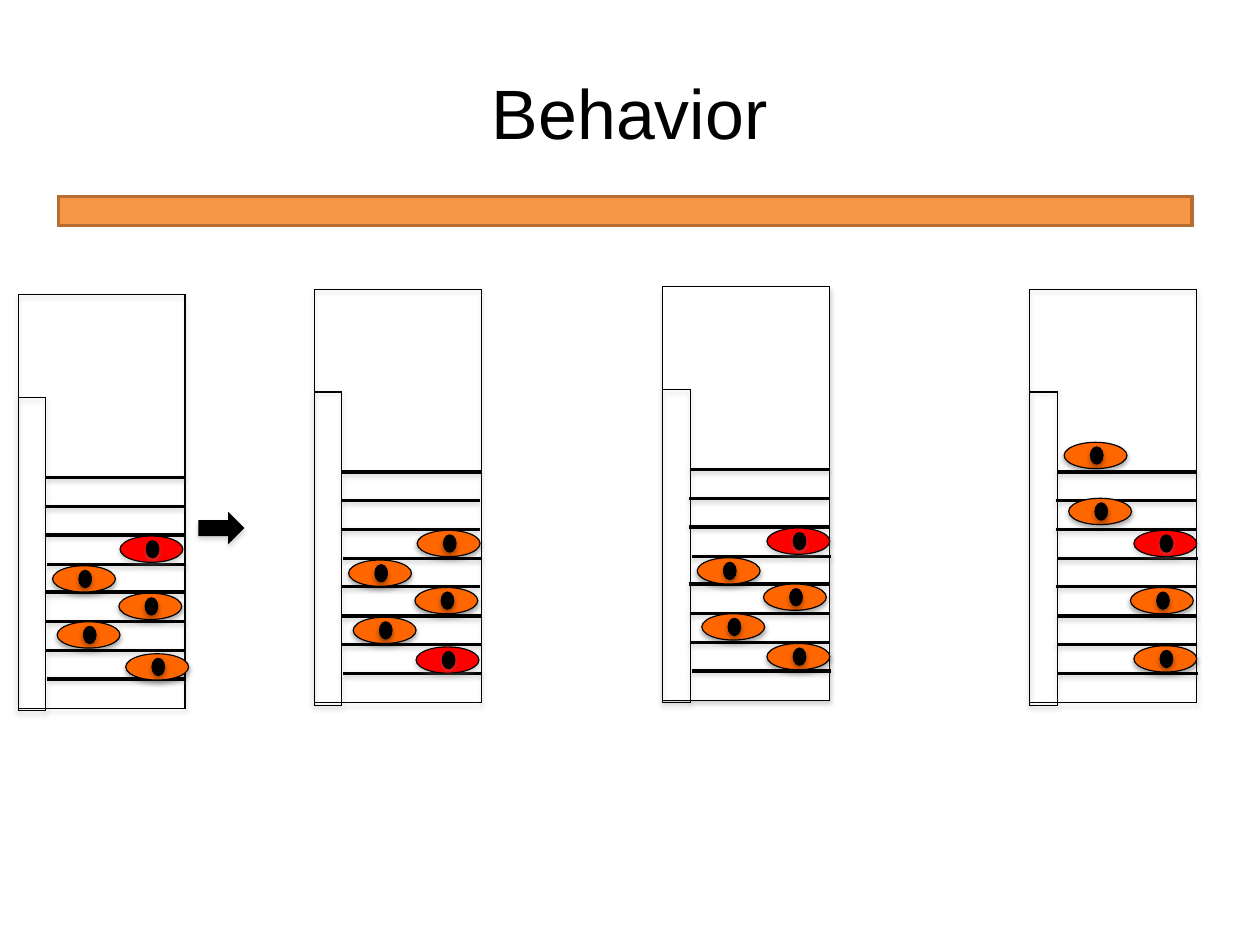
from dataclasses import dataclass

from lxml import etree
from pptx import Presentation
from pptx import util as u
from pptx.dml.color import RGBColor
from pptx.enum import shapes, text
from pptx.oxml import ns

BLACK = RGBColor(0x00, 0x00, 0x00)
WHITE = RGBColor(0xFF, 0xFF, 0xFF)
GRAY = RGBColor(0x80, 0x80, 0x80)
ORANGE = RGBColor(0xFF, 0x66, 0x00)
RED = RGBColor(0xFF, 0x00, 0x00)
BAR_FILL = RGBColor(0xF7, 0x96, 0x46)
BAR_LINE = RGBColor(0xB6, 0x6D, 0x31)

# Rung offsets from the left and top of a ladder frame, top to bottom
RUNGS = [(0.24, 1.6), (0.23, 1.85), (0.23, 2.1), (0.25, 2.36),
         (0.23, 2.6), (0.24, 2.86), (0.24, 3.11), (0.25, 3.36)]
RUNG_LENGTH = 1.22


@dataclass
class Eye:
    left: float
    top: float
    color: RGBColor = ORANGE


@dataclass
class Ladder:
    left: float
    top: float
    eyes: list[Eye]
    fill: RGBColor | None = None


LADDERS = [
    Ladder(0.16, 2.58, [Eye(1.1, 5.72), Eye(0.5, 5.44), Eye(1.04, 5.19),
                        Eye(0.46, 4.95), Eye(1.05, 4.69, RED)]),
    Ladder(2.75, 2.53, [Eye(3.65, 4.64), Eye(3.09, 5.4), Eye(3.63, 5.14),
                        Eye(3.05, 4.9), Eye(3.64, 5.66, RED)]),
    Ladder(5.8, 2.51, [Eye(6.71, 5.63), Eye(6.14, 5.37), Eye(6.68, 5.11),
                       Eye(6.1, 4.88), Eye(6.71, 4.62, RED)], WHITE),
    Ladder(9.01, 2.53, [Eye(9.92, 5.65), Eye(9.35, 4.36), Eye(9.89, 5.14),
                        Eye(9.31, 3.87), Eye(9.92, 4.64, RED)]),
]


def add_shadow(item, color: RGBColor, alpha: int, distance: float) -> None:
    effects = etree.SubElement(item._element.spPr, ns.qn("a:effectLst"))
    shadow = etree.SubElement(
        effects, ns.qn("a:outerShdw"), blurRad=str(u.Pt(3.1)),
        dist=str(u.Pt(distance)), dir="5400000", rotWithShape="0")
    tint = etree.SubElement(shadow, ns.qn("a:srgbClr"), val=str(color))
    etree.SubElement(tint, ns.qn("a:alpha"), val=str(alpha * 1000))


def add_figure(parent, kind, left: float, top: float, width: float,
               height: float, fill: RGBColor | None = None,
               line: RGBColor = BLACK, weight: float = 0.75,
               shadow: RGBColor | None = GRAY):
    figure = parent.add_shape(kind, u.Inches(left), u.Inches(top),
                              u.Inches(width), u.Inches(height))
    if fill is None:
        figure.fill.background()
    else:
        figure.fill.solid()
        figure.fill.fore_color.rgb = fill
    figure.line.color.rgb = line
    figure.line.width = u.Pt(weight)
    outline = figure._element.spPr.find(ns.qn("a:ln"))
    etree.SubElement(outline, ns.qn("a:miter"), lim="800000")
    if shadow is None:
        figure.shadow.inherit = False
    else:
        add_shadow(figure, shadow, 35, 1.8)
    return figure


def add_rung(page, left: float, top: float) -> None:
    rung = page.shapes.add_connector(
        shapes.MSO_CONNECTOR.STRAIGHT, u.Inches(left), u.Inches(top),
        u.Inches(left + RUNG_LENGTH), u.Inches(top))
    rung.line.color.rgb = BLACK
    rung.line.width = u.Pt(2)
    add_shadow(rung, GRAY, 38, 1.6)


def add_eye(page, eye: Eye) -> None:
    group = page.shapes.add_group_shape()
    oval = shapes.MSO_SHAPE.OVAL
    shadow = GRAY if eye.color == RED else BLACK
    add_figure(group.shapes, oval, eye.left, eye.top, 0.55, 0.23,
               eye.color, shadow=shadow)
    add_figure(group.shapes, oval, eye.left + 0.23, eye.top + 0.04, 0.11, 0.15,
               BLACK, shadow=shadow)


def add_ladder(page, ladder: Ladder) -> None:
    rectangle = shapes.MSO_SHAPE.RECTANGLE
    add_figure(page.shapes, rectangle, ladder.left, ladder.top, 1.46, 3.62,
               ladder.fill)
    add_figure(page.shapes, rectangle, ladder.left, ladder.top + 0.9, 0.24, 2.74)
    for across, down in RUNGS:
        add_rung(page, ladder.left + across, ladder.top + down)
    for eye in ladder.eyes:
        add_eye(page, eye)


def add_title(page, wording: str) -> None:
    box = page.shapes.add_textbox(u.Inches(0.55), u.Inches(0.33),
                                  u.Inches(9.92), u.Inches(1.38))
    frame = box.text_frame
    frame.text = wording
    frame.word_wrap = True
    frame.vertical_anchor = text.MSO_ANCHOR.MIDDLE
    frame.margin_left = frame.margin_right = 0
    frame.margin_top = frame.margin_bottom = 0
    para = frame.paragraphs[0]
    para.alignment = text.PP_ALIGN.CENTER
    para.line_spacing = 0.93
    span = para.runs[0]
    span.font.name = "Arial"
    span.font.size = u.Pt(44)
    span.font.color.rgb = BLACK


def main() -> None:
    # The page is metric: 28 by 21 cm
    deck = Presentation()
    deck.slide_width = u.Cm(28)
    deck.slide_height = u.Cm(21)
    page = deck.slides.add_slide(deck.slide_layouts[6])

    # Heading with its bar
    add_figure(page.shapes, shapes.MSO_SHAPE.RECTANGLE, 0.51, 1.72, 9.92, 0.25,
               BAR_FILL, BAR_LINE, 2, shadow=None)
    add_title(page, "Behavior")

    # Four ladders and the arrow after the first
    for ladder in LADDERS:
        add_ladder(page, ladder)
    add_figure(page.shapes, shapes.MSO_SHAPE.RIGHT_ARROW, 1.74, 4.49, 0.39, 0.26,
               BLACK)

    deck.save("out.pptx")


if __name__ == "__main__":
    main()
